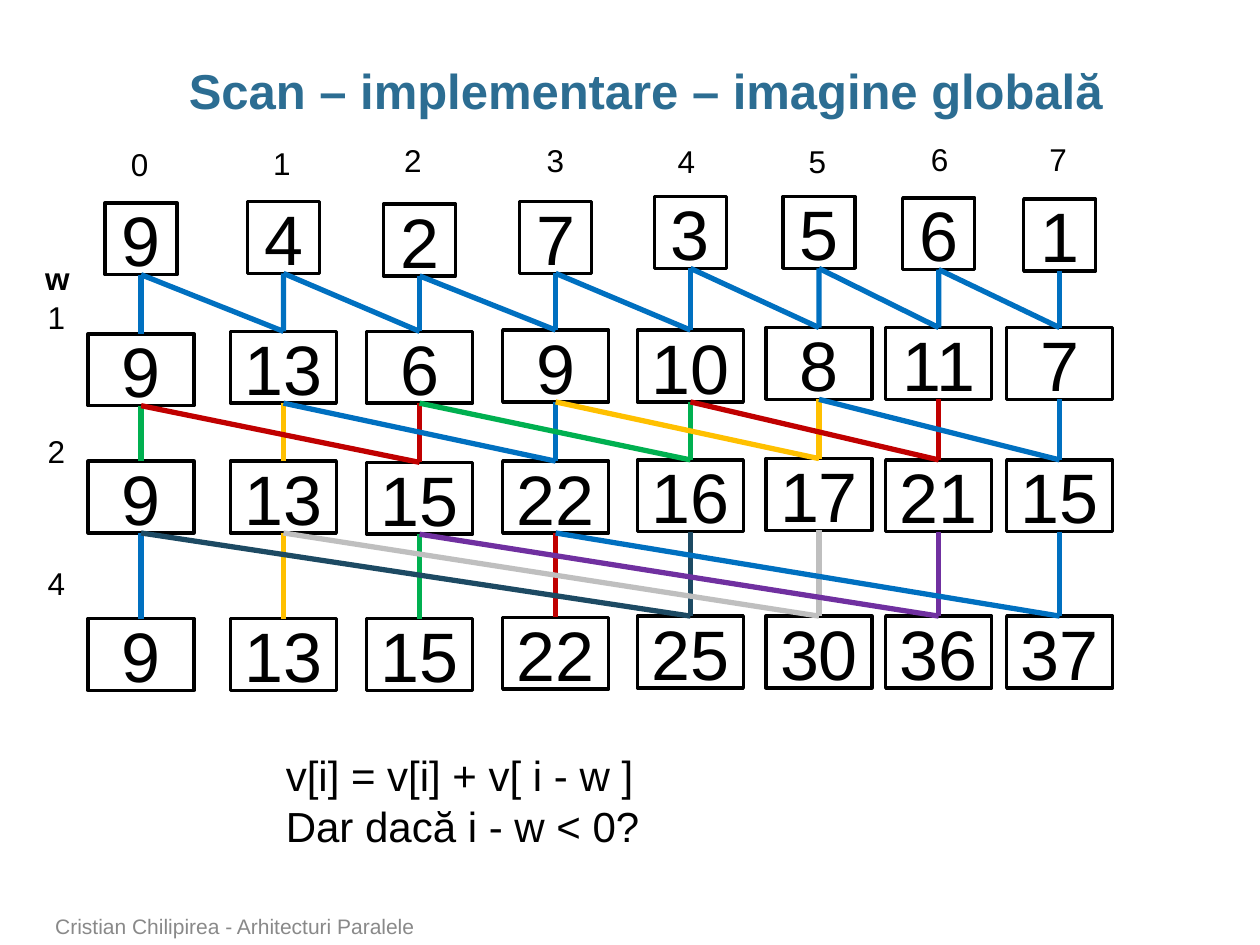
"""Builds a slide that shows every step of a parallel scan."""
from itertools import pairwise

from lxml.etree import SubElement
from pptx import Presentation
from pptx.dml.color import RGBColor as Rgb
from pptx.enum.shapes import MSO_CONNECTOR as Link, MSO_SHAPE as Form
from pptx.enum.text import MSO_ANCHOR as Anchor, PP_ALIGN as Align
from pptx.oxml.ns import qn
from pptx.util import Inches, Pt

HUES = {"ink": "000000", "title": "2C6D92", "foot": "898989", "blue": "0070C0",
        "red": "C00000", "green": "00B050", "gold": "FFC000", "navy": "1D4A63",
        "grey": "BFBFBF", "plum": "7030A0"}
COLS = [1.12, 2.25, 3.33, 4.41, 5.48, 6.5, 7.45, 8.41]
TOPS = [[1.61, 1.6, 1.62, 1.6, 1.56, 1.56, 1.57, 1.58],
        [2.65, 2.63, 2.63, 2.62, 2.62, 2.6, 2.6, 2.6],
        [3.66, 3.66, 3.67, 3.66, 3.65, 3.64, 3.65, 3.65],
        [4.91, 4.91, 4.91, 4.9, 4.89, 4.89, 4.89, 4.89]]
HEADS = [(1.11, 1.1), (2.24, 1.09), (3.28, 1.07), (4.41, 1.07),
         (5.45, 1.08), (6.49, 1.08), (7.46, 1.06), (8.4, 1.06)]
START = [9, 4, 2, 7, 3, 5, 6, 1]
STEPS = [(1, ["blue"] * 8),
         (2, ["green", "gold", "red", "blue"] * 2),
         (4, ["blue", "gold", "green", "red", "navy", "grey", "plum", "blue"])]
SIDE, WIDE = 0.57, 0.84


def write(shape, text, size=18, hue="ink", bold=False, align=Align.LEFT,
          anchor=Anchor.TOP, wrap=True):
    """Put formatted text, one paragraph a line, into a shape."""
    frame = shape.text_frame
    frame.text = text
    frame.word_wrap = wrap
    frame.vertical_anchor = anchor
    for para in frame.paragraphs:
        para.alignment = align
        font = para.runs[0].font
        font.name, font.size, font.bold = "Arial", Pt(size), bold
        font.color.rgb = Rgb.from_string(HUES[hue])


def label(slide, text, left, top, width=0.34, height=0.4, **style):
    """Add a text box."""
    box = slide.shapes.add_textbox(*map(Inches, (left, top, width, height)))
    write(box, text, **style)


def cell(slide, value, mid, top, width):
    """Add one framed number, centred on its column."""
    box = slide.shapes.add_shape(
        Form.RECTANGLE, *map(Inches, (mid - width / 2, top, width, SIDE)))
    box.shadow.inherit = False
    box.fill.background()
    box.line.color.rgb = Rgb.from_string(HUES["ink"])
    box.line.width = Pt(2)
    write(box, str(value), size=40, align=Align.CENTER, anchor=Anchor.MIDDLE)
    return box


def join(slide, above, below, hue):
    """Link the bottom of one cell to the top of another."""
    line = slide.shapes.add_connector(Link.STRAIGHT, 0, 0, 0, 0)
    line.begin_connect(above, 2)
    line.end_connect(below, 0)
    line.line.color.rgb = Rgb.from_string(HUES[hue])
    line.line.width = Pt(3)
    SubElement(line._element.spPr, qn("a:effectLst"))


def scan():
    """Return the values of every row of the scan."""
    rows = [START]
    for gap, _ in STEPS:
        last = rows[-1]
        rows.append([v + (last[i - gap] if i >= gap else 0)
                     for i, v in enumerate(last)])
    return rows


def graph(slide):
    """Draw the rows of cells and the links between them."""
    grid = [[cell(slide, v, x, y, WIDE if n else SIDE)
             for v, x, y in zip(row, COLS, TOPS[n])]
            for n, row in enumerate(scan())]
    for (above, below), (gap, hues) in zip(pairwise(grid), STEPS):
        for i, hue in enumerate(hues):
            if i >= gap:
                join(slide, above[i - gap], below[i], hue)
            join(slide, above[i], below[i], hue)


def main():
    """Build and save the slide."""
    deck = Presentation()
    deck.slide_width, deck.slide_height = Inches(10), Inches(7.5)
    slide = deck.slides.add_slide(deck.slide_layouts[5])
    title = slide.shapes.title
    title.left, title.top, title.width, title.height = map(
        Inches, (0.47, 0.46, 9.31, 0.5))
    write(title, "Scan – implementare – imagine globală", size=28, hue="title",
          bold=True, align=Align.CENTER, anchor=Anchor.MIDDLE)
    title.text_frame.margin_left = title.text_frame.margin_right = 0
    graph(slide)
    for i, (mid, top) in enumerate(HEADS):
        label(slide, str(i), mid - 0.17, top, wrap=False)
    label(slide, "w", 0.26, 2.01, width=0.36, bold=True, wrap=False)
    for (gap, _), top in zip(STEPS, (2.32, 3.38, 4.43)):
        label(slide, str(gap), 0.28, top, wrap=False)
    label(slide, "v[i] = v[i] + v[ i - w ]\nDar dacă i - w < 0?",
          2.17, 5.9, width=4, height=0.91, size=24)
    label(slide, "Cristian Chilipirea - Arhitecturi Paralele",
          0.34, 7.22, width=7.37, height=0.28, size=12, hue="foot",
          anchor=Anchor.BOTTOM)
    deck.save("out.pptx")


if __name__ == "__main__":
    main()
